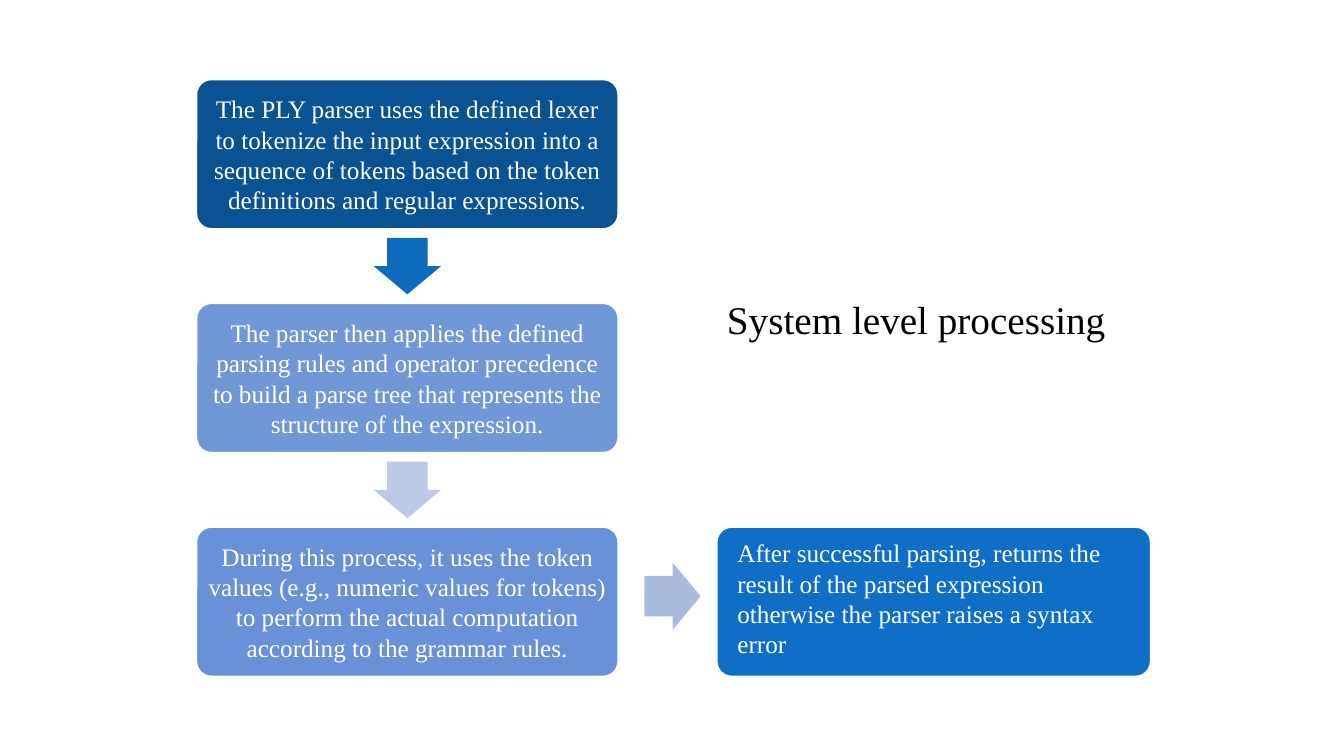
"""Build a slide with a parsing flowchart and its title."""
from dataclasses import dataclass

from pptx import Presentation
from pptx.dml.color import RGBColor
from pptx.enum.shapes import MSO_SHAPE
from pptx.enum.text import MSO_ANCHOR, MSO_AUTO_SIZE, PP_ALIGN
from pptx.util import Inches, Pt

SLIDE_W, SLIDE_H = Inches(13.33), Inches(7.5)
LEFT, TOP, BOX_W, BOX_H, ROW_STEP = 14.63, 10.53, 31.36, 19.73, 29.6
RIGHT, RESULT_W = 53.34, 32.26
COLORS = {
    "tokenize": "0B5292", "parse": "7098D7", "compute": "6991D8", "result": "0F6FC6",
    "to_parse": "0E6ABD", "to_compute": "BEC9E5", "to_result": "ABBBDF",
    "white": "FFFFFF", "black": "000000",
}
STEP_FRAME = {
    "word_wrap": True, "vertical_anchor": MSO_ANCHOR.MIDDLE,
    "margin_left": Inches(0.07), "margin_right": Inches(0.07),
    "margin_top": Inches(0.07), "margin_bottom": Inches(0.07),
}
RESULT_FRAME = STEP_FRAME | {"margin_left": Inches(0.16), "margin_bottom": Inches(0.14)}
TITLE_FRAME = {
    "word_wrap": True, "vertical_anchor": MSO_ANCHOR.TOP, "auto_size": MSO_AUTO_SIZE.NONE,
    "margin_left": Inches(0.1), "margin_right": Inches(0.1),
    "margin_top": Inches(0.05), "margin_bottom": Inches(0.05),
}


@dataclass
class Area:
    x: float
    y: float
    w: float
    h: float

    def emu(self) -> tuple[int, int, int, int]:
        return (int(SLIDE_W * self.x / 100), int(SLIDE_H * self.y / 100),
                int(SLIDE_W * self.w / 100), int(SLIDE_H * self.h / 100))


@dataclass
class Box:
    area: Area
    color: str
    text: str
    align: PP_ALIGN
    frame: dict


@dataclass
class Arrow:
    area: Area
    color: str
    kind: MSO_SHAPE


def row_top(row: int) -> float:
    return TOP + row * ROW_STEP


def step(row: int, color: str, text: str) -> Box:
    return Box(Area(LEFT, row_top(row), BOX_W, BOX_H), color, text, PP_ALIGN.CENTER, STEP_FRAME)


def down_arrow(row: int, color: str) -> Arrow:
    w, h = 5.03, 7.47
    mid = row_top(row) + (BOX_H + ROW_STEP) / 2
    return Arrow(Area(LEFT + (BOX_W - w) / 2, mid - h / 2, w, h), color, MSO_SHAPE.DOWN_ARROW)


BOXES = [
    step(0, "tokenize", "The PLY parser uses the defined lexer to tokenize the input expression "
         "into a sequence of tokens based on the token definitions and regular expressions."),
    step(1, "parse", "The parser then applies the defined parsing rules and operator precedence "
         "to build a parse tree that represents the structure of the expression."),
    step(2, "compute", "During this process, it uses the token values (e.g., numeric values for "
         "tokens) to perform the actual computation according to the grammar rules."),
    Box(Area(RIGHT, row_top(2), RESULT_W, BOX_H), "result",
        "After successful parsing, returns the result of the parsed expression "
        "otherwise the parser raises a syntax error", PP_ALIGN.LEFT, RESULT_FRAME),
]
ARROWS = [
    down_arrow(0, "to_parse"),
    down_arrow(1, "to_compute"),
    Arrow(Area(47.94, 74.4, 4.2, 8.93), "to_result", MSO_SHAPE.RIGHT_ARROW),
]


def rgb(name: str) -> RGBColor:
    return RGBColor.from_string(COLORS[name])


def set_attrs(obj, values: dict) -> None:
    for name, value in values.items():
        setattr(obj, name, value)


def write(sp, text: str, size: int, color: str, align: PP_ALIGN, frame: dict) -> None:
    tf = sp.text_frame
    set_attrs(tf, frame)
    p = tf.paragraphs[0]
    set_attrs(p, {"alignment": align, "line_spacing": 1.0})
    r = p.add_run()
    r.text = text
    set_attrs(r.font, {"name": "Times New Roman", "size": Pt(size)})
    r.font.color.rgb = rgb(color)


def add_filled(s, kind: MSO_SHAPE, area: Area, color: str, adjustments: list[float]):
    sp = s.shapes.add_shape(kind, *area.emu())
    sp.shadow.inherit = False
    sp.fill.solid()
    sp.fill.fore_color.rgb = rgb(color)
    for i, value in enumerate(adjustments):
        sp.adjustments[i] = value
    return sp


def draw_box(s, box: Box) -> None:
    sp = add_filled(s, MSO_SHAPE.ROUNDED_RECTANGLE, box.area, box.color, [0.1])
    sp.line.color.rgb = rgb("white")
    sp.line.width = Pt(1)
    write(sp, box.text, 18, "white", box.align, box.frame)


def draw_arrow(s, arrow: Arrow) -> None:
    sp = add_filled(s, arrow.kind, arrow.area, arrow.color, [0.6, 0.5])
    sp.line.fill.background()


def draw_title(s, text: str) -> None:
    sp = s.shapes.title
    area = Area(RIGHT, 38.4, 34.2, 7.6)
    set_attrs(sp, dict(zip(("left", "top", "width", "height"), area.emu())))
    write(sp, text, 28, "black", PP_ALIGN.LEFT, TITLE_FRAME)


def main() -> None:
    prs = Presentation()
    set_attrs(prs, {"slide_width": SLIDE_W, "slide_height": SLIDE_H})
    s = prs.slides.add_slide(prs.slide_layouts[5])
    draw_title(s, "System level processing")
    for box in BOXES:
        draw_box(s, box)
    for arrow in ARROWS:
        draw_arrow(s, arrow)
    prs.save("out.pptx")


if __name__ == "__main__":
    main()
